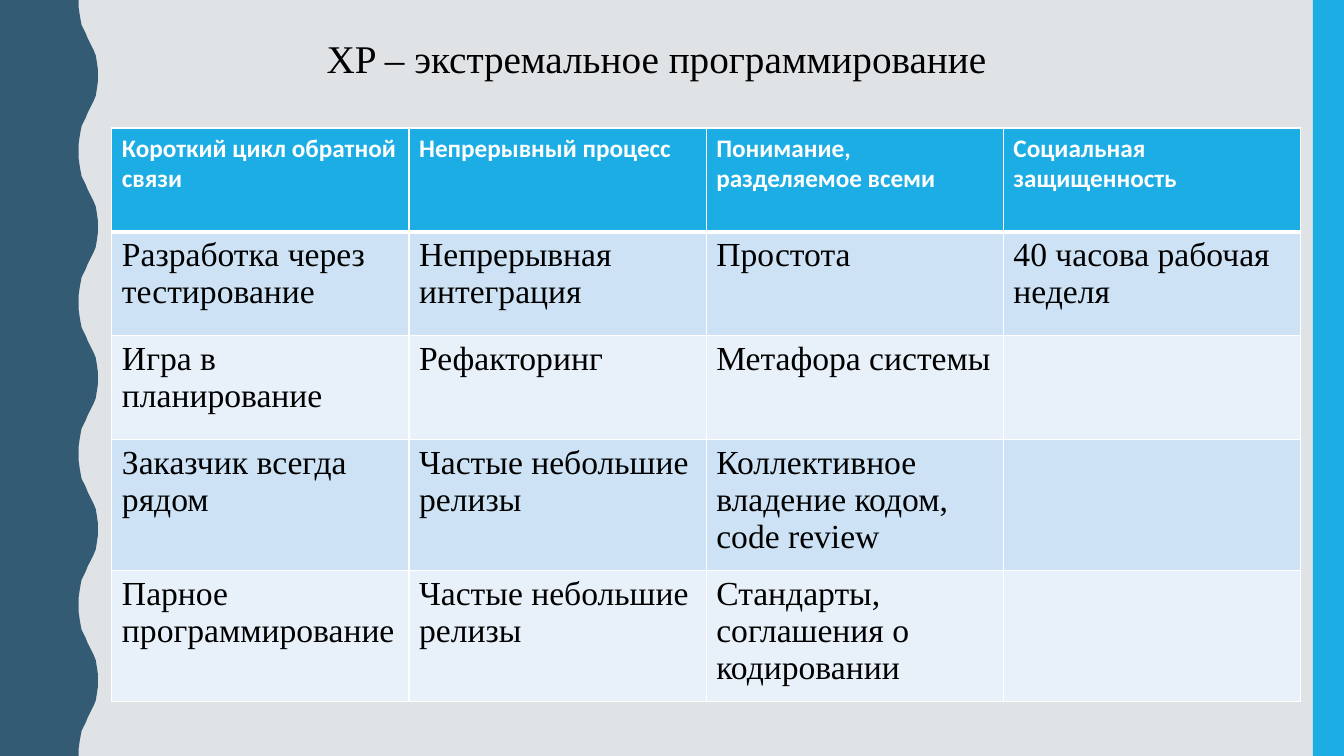
from dataclasses import dataclass

from lxml.etree import SubElement
from pptx import Presentation
from pptx.dml.color import RGBColor
from pptx.enum.shapes import MSO_SHAPE
from pptx.enum.text import MSO_AUTO_SIZE
from pptx.oxml.ns import qn
from pptx.util import Inches, Pt


@dataclass(frozen=True)
class Theme:
    background: str = "DFE3E5"
    wave: str = "335B74"
    accent: str = "1CADE4"
    bands: tuple = ("CDE3F5", "E8F1FA")
    light: str = "FFFFFF"
    dark: str = "000000"
    serif: str = "Times New Roman"
    sans: str = "Calibri"
    title_size: int = 28
    header_size: int = 18
    body_size: int = 24


THEME = Theme()
SLIDE_WIDTH, SLIDE_HEIGHT = 13.33, 7.5
WAVE_COUNT = 5
HALF_WAVE = [
    (0.78, 0), (0.78, 0.07), (0.79, 0.14), (0.8, 0.2), (0.81, 0.25),
    (0.83, 0.29), (0.85, 0.33), (0.87, 0.38), (0.89, 0.42), (0.91, 0.46),
    (0.93, 0.5), (0.95, 0.55), (0.96, 0.61), (0.97, 0.68), (0.97, 0.75),
]
TITLE = "XP – экстремальное программирование"
ROW_HEIGHTS = [1.03, 1.03, 1.03, 1.3, 1.3]
PRACTICES = [
    ["Короткий цикл обратной связи", "Непрерывный процесс",
     "Понимание, разделяемое всеми", "Социальная защищенность"],
    ["Разработка через тестирование", "Непрерывная интеграция",
     "Простота", "40 часова рабочая неделя"],
    ["Игра в планирование", "Рефакторинг", "Метафора системы", ""],
    ["Заказчик всегда рядом", "Частые небольшие релизы",
     "Коллективное владение кодом, code review", ""],
    ["Парное программирование", "Частые небольшие релизы",
     "Стандарты, соглашения о кодировании", ""],
]


def paint(shape, color):
    shape.shadow.inherit = False
    shape.fill.solid()
    shape.fill.fore_color.rgb = RGBColor.from_string(color)
    shape.line.fill.background()


def style(paragraph, name, size, color, bold=False):
    font = paragraph.font
    font.name = name
    font.size = Pt(size)
    font.bold = bold
    font.color.rgb = RGBColor.from_string(color)


def add_wave(page, left, top, height):
    period = height / WAVE_COUNT
    full_wave = HALF_WAVE + [(x, period - y) for x, y in HALF_WAVE[-2::-1]]
    edge = [
        (Inches(x), Inches(y + index * period))
        for index in range(WAVE_COUNT)
        for x, y in full_wave
    ]
    builder = page.shapes.build_freeform(0, 0)
    builder.add_line_segments(edge + [(0, Inches(height))], close=True)
    paint(builder.convert_to_shape(Inches(left), Inches(top)), THEME.wave)


def add_side_bar(page, left, top, width, height):
    bar = page.shapes.add_shape(
        MSO_SHAPE.RECTANGLE, Inches(left), Inches(top), Inches(width), Inches(height)
    )
    paint(bar, THEME.accent)


def add_title(page, left, top, width, height):
    box = page.shapes.add_textbox(
        Inches(left), Inches(top), Inches(width), Inches(height)
    )
    frame = box.text_frame
    frame.word_wrap = False
    frame.auto_size = MSO_AUTO_SIZE.SHAPE_TO_FIT_TEXT
    frame.text = TITLE
    style(frame.paragraphs[0], THEME.serif, THEME.title_size, THEME.dark)


def add_borders(cell, top_width, bottom_width):
    properties = cell._tc.get_or_add_tcPr()
    widths = {"a:lnL": 1, "a:lnR": 1, "a:lnT": top_width, "a:lnB": bottom_width}
    for tag, width in widths.items():
        line = SubElement(properties, qn(tag), w=str(Pt(width)))
        fill = SubElement(line, qn("a:solidFill"))
        SubElement(fill, qn("a:srgbClr"), val=THEME.light)


def add_practices(page, left, top, width):
    table = page.shapes.add_table(
        len(PRACTICES), len(PRACTICES[0]), Inches(left), Inches(top),
        Inches(width), Inches(sum(ROW_HEIGHTS)),
    ).table
    for row, height in zip(table.rows, ROW_HEIGHTS):
        row.height = Inches(height)
    for row_index, texts in enumerate(PRACTICES):
        is_header = row_index == 0
        color = THEME.accent if is_header else THEME.bands[(row_index - 1) % 2]
        for column_index, text in enumerate(texts):
            cell = table.cell(row_index, column_index)
            add_borders(cell, 3 if row_index == 1 else 1, 3 if is_header else 1)
            cell.fill.solid()
            cell.fill.fore_color.rgb = RGBColor.from_string(color)
            cell.text = text
            para = cell.text_frame.paragraphs[0]
            if is_header:
                style(para, THEME.sans, THEME.header_size, THEME.light, bold=True)
            else:
                style(para, THEME.serif, THEME.body_size, THEME.dark)


def build_slide(deck):
    page = deck.slides.add_slide(deck.slide_layouts[6])
    page.background.fill.solid()
    page.background.fill.fore_color.rgb = RGBColor.from_string(THEME.background)
    add_wave(page, 0, 0, SLIDE_HEIGHT)
    add_side_bar(page, 13.02, 0, 0.31, SLIDE_HEIGHT)
    add_title(page, 3.14, 0.29, 6.82, 0.57)
    add_practices(page, 1.11, 1.27, 11.79)


def main():
    deck = Presentation()
    deck.slide_width = Inches(SLIDE_WIDTH)
    deck.slide_height = Inches(SLIDE_HEIGHT)
    build_slide(deck)
    deck.save("out.pptx")


if __name__ == "__main__":
    main()
